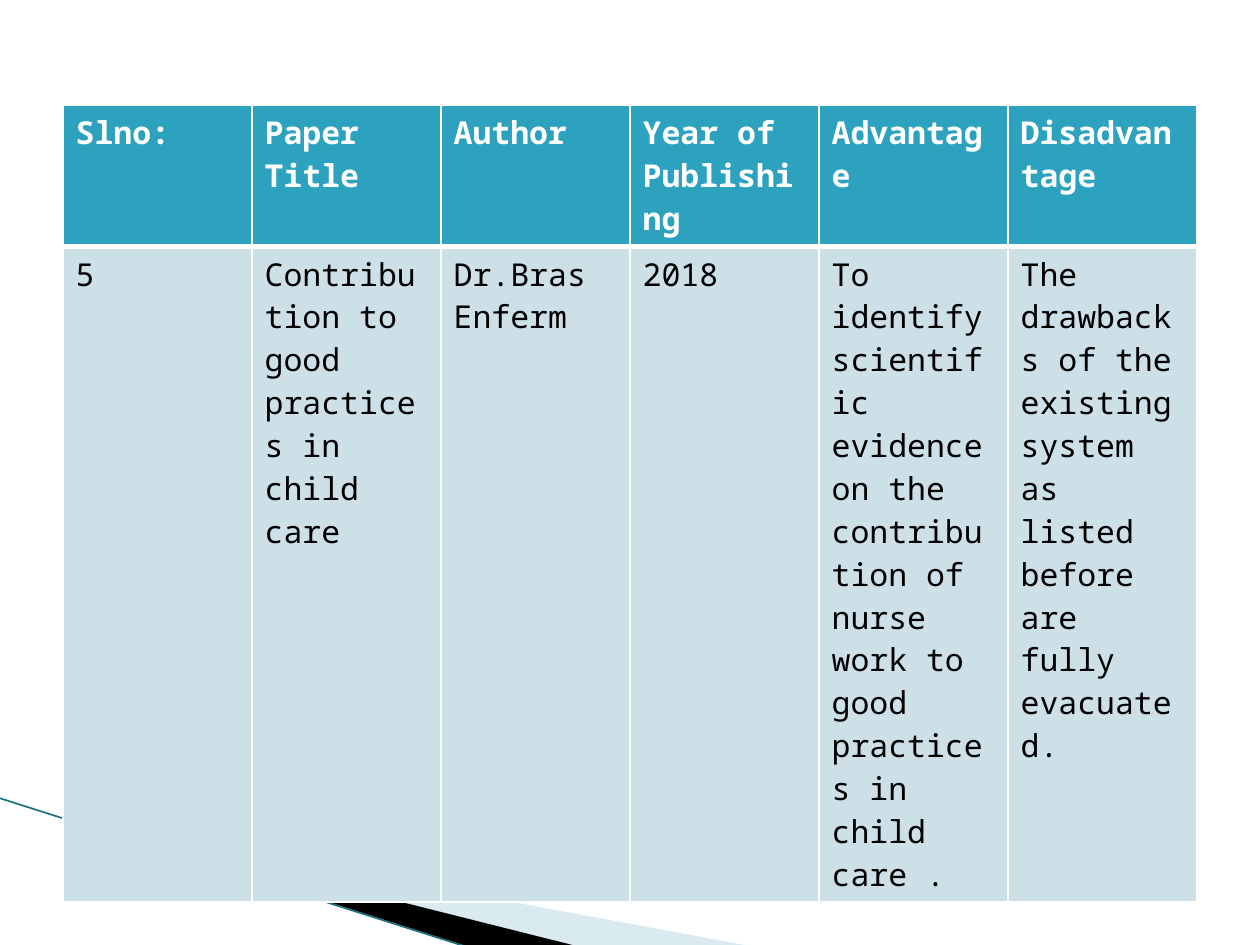
from dataclasses import dataclass

from lxml import etree
from pptx import Presentation, util as u
from pptx.dml.color import RGBColor
from pptx.enum import shapes
from pptx.oxml import ns

PX = 914400 / 126  # EMU per px
FONT = "Noto Sans Mono"
WHITE = RGBColor(0xFF, 0xFF, 0xFF)
BLACK = RGBColor(0x00, 0x00, 0x00)
TEAL = RGBColor(0x2D, 0xA2, 0xBF)
PALE = RGBColor(0xCD, 0xE0, 0xE8)
SWOOSH = RGBColor(0xA0, 0xCB, 0xDC)
EDGE = RGBColor(0x1B, 0x70, 0x83)


@dataclass(frozen=True)
class Wedge:
    points: tuple
    color: RGBColor
    alpha: int = 100


@dataclass(frozen=True)
class RowStyle:
    fill: RGBColor
    font: dict
    borders: dict  # side: width in points


WEDGES = (
    Wedge(((69, 820), (750, 946), (575, 946), (69, 819)), SWOOSH, 40),
    Wedge(((67, 818), (576, 946), (469, 947), (68, 819)), BLACK),
)
HEADER = RowStyle(TEAL, {"size": u.Pt(18), "name": FONT, "bold": True},
                  {"L": 1, "R": 1, "T": 1, "B": 3})
BODY = RowStyle(PALE, {"size": u.Pt(18), "name": FONT, "bold": False},
                {"L": 1, "R": 1, "T": 3, "B": 1})
ROWS = (
    (HEADER, WHITE, ("Slno:", "Paper Title", "Author", "Year of Publishing",
                     "Advantage", "Disadvantage")),
    (BODY, BLACK, ("5", "Contribution to good practices in child care",
                   "Dr.Bras Enferm", "2018",
                   "To identify scientific evidence on the contribution of "
                   "nurse work to good practices in child care .",
                   "The drawbacks of the existing system as listed before "
                   "are fully evacuated.")),
)


def px(n: int) -> u.Emu:
    return u.Emu(round(n * PX))


def draw_wedge(s, wedge: Wedge) -> None:
    fb = s.shapes.build_freeform(*wedge.points[0], scale=PX)
    fb.add_line_segments(wedge.points[1:], close=True)
    sp = fb.convert_to_shape()
    sp.shadow.inherit = False
    sp.line.fill.background()
    sp.fill.solid()
    sp.fill.fore_color.rgb = wedge.color
    if wedge.alpha < 100:
        clr = sp._element.spPr.find(".//" + ns.qn("a:srgbClr"))
        etree.SubElement(clr, ns.qn("a:alpha"), val=str(wedge.alpha * 1000))


def draw_line(s, x1: int, y1: int, x2: int, y2: int) -> None:
    cx = s.shapes.add_connector(shapes.MSO_CONNECTOR.STRAIGHT,
                                px(x1), px(y1), px(x2), px(y2))
    cx.line.color.rgb = EDGE
    cx.line.width = u.Pt(0.95)
    etree.SubElement(cx._element.spPr, ns.qn("a:effectLst"))


def set_borders(cell, borders: dict) -> None:
    tcPr = cell._tc.get_or_add_tcPr()
    for i, (side, width) in enumerate(borders.items()):
        ln = etree.Element(ns.qn(f"a:ln{side}"), w=str(u.Pt(width)))
        fill = etree.SubElement(ln, ns.qn("a:solidFill"))
        etree.SubElement(fill, ns.qn("a:srgbClr"), val=str(WHITE))
        tcPr.insert(i, ln)


def fill_cell(cell, words: str, style: RowStyle, color: RGBColor) -> None:
    cell.fill.solid()
    cell.fill.fore_color.rgb = style.fill
    set_borders(cell, style.borders)
    r = cell.text_frame.paragraphs[0].add_run()
    r.text = words
    for key, value in style.font.items():
        setattr(r.font, key, value)
    r.font.color.rgb = color


def draw_table(s, left: int, top: int, col_w: int, row_h: int) -> None:
    n = len(ROWS[0][2])
    tbl = s.shapes.add_table(len(ROWS), n, px(left), px(top),
                             px(n * col_w), px(len(ROWS) * row_h)).table
    for col in tbl.columns:
        col.width = px(col_w)
    for i, (style, color, entries) in enumerate(ROWS):
        tbl.rows[i].height = px(row_h)
        for j, words in enumerate(entries):
            fill_cell(tbl.cell(i, j), words, style, color)


def main() -> None:
    prs = Presentation()
    prs.slide_width, prs.slide_height = px(1260), px(945)
    s = prs.slides.add_slide(prs.slide_layouts[6])

    # Corner decoration
    for wedge in WEDGES:
        draw_wedge(s, wedge)
    draw_line(s, -1, 798, 467, 947)

    # Literature survey table
    draw_table(s, left=63, top=105, col_w=189, row_h=52)

    prs.save("out.pptx")


if __name__ == "__main__":
    main()
